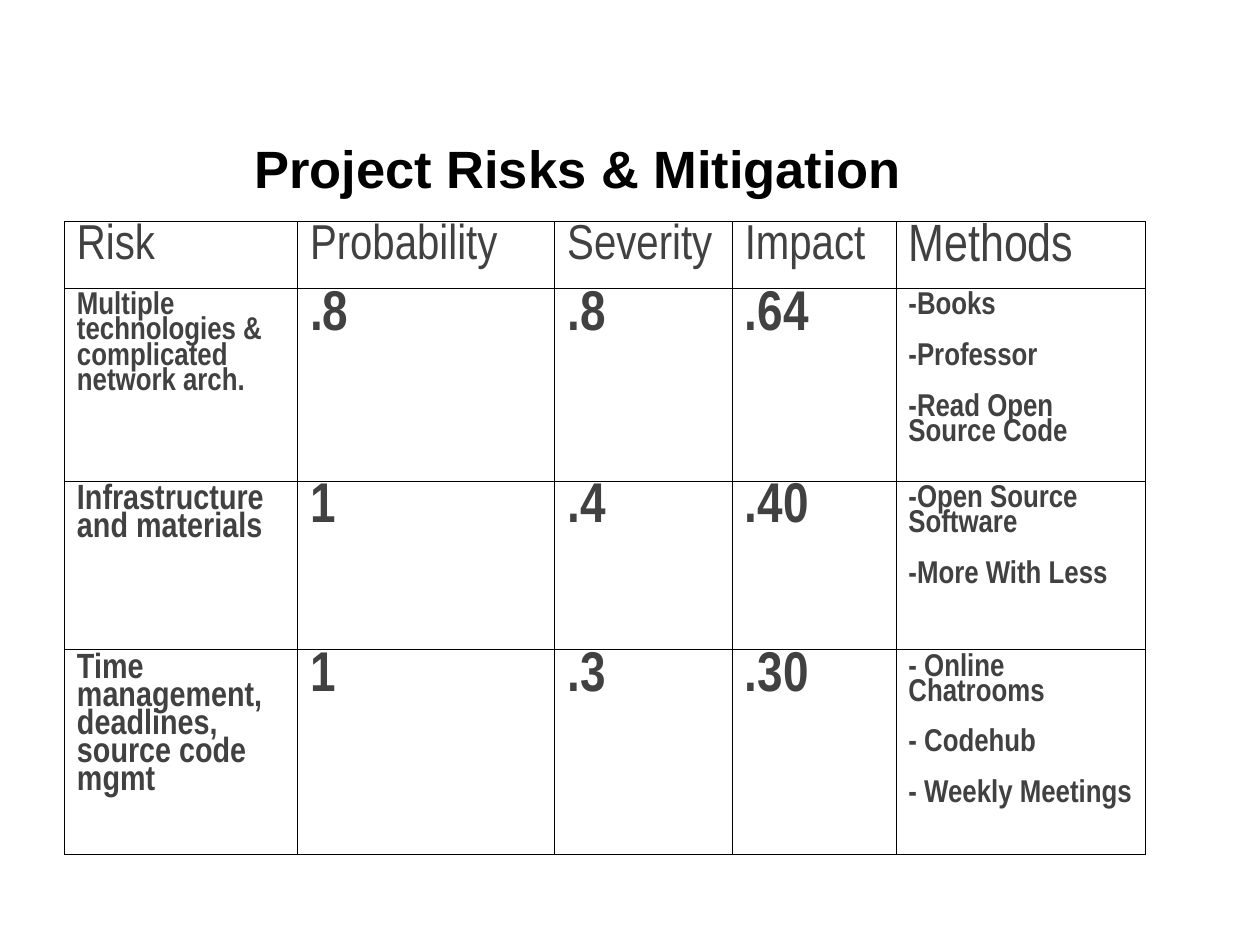
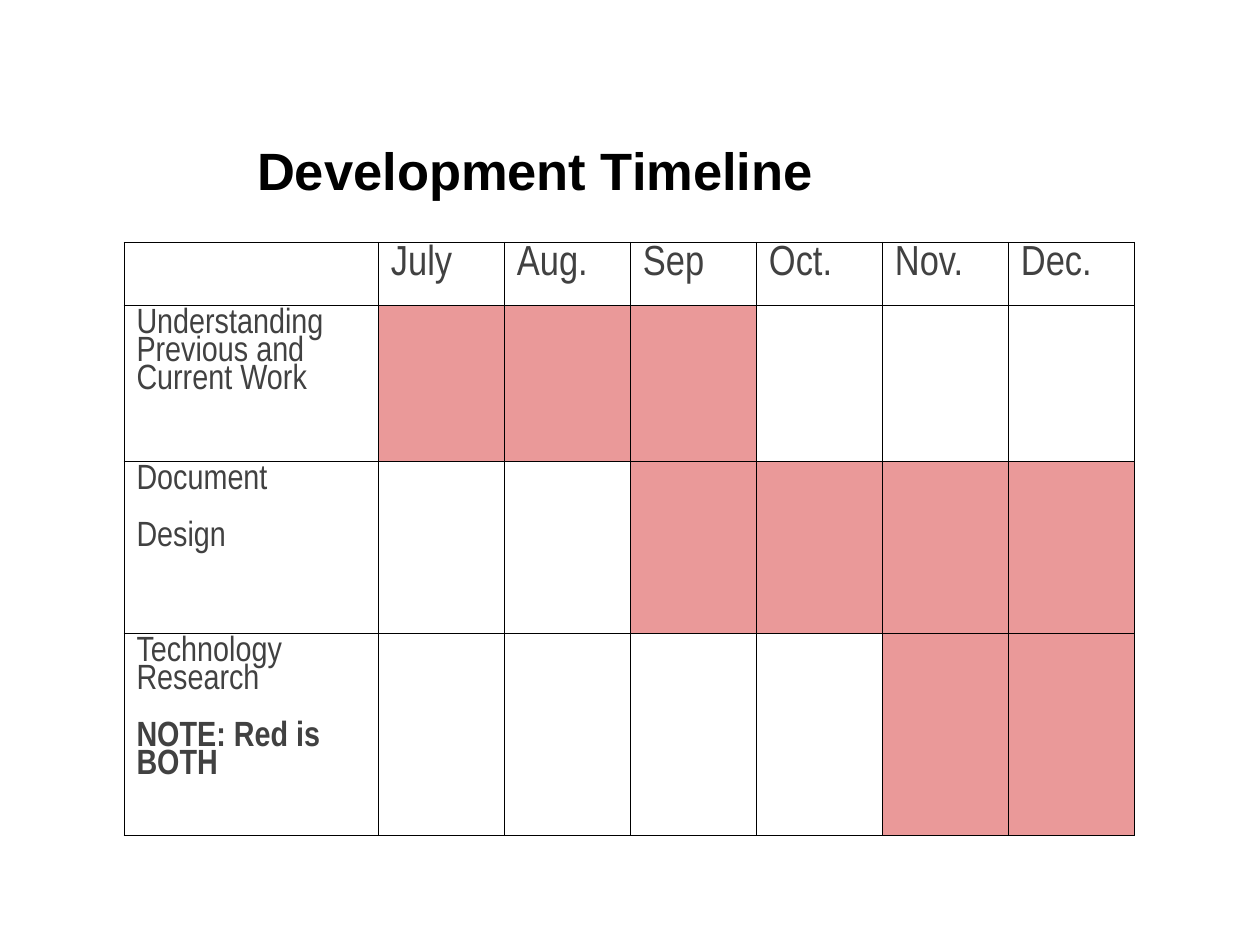
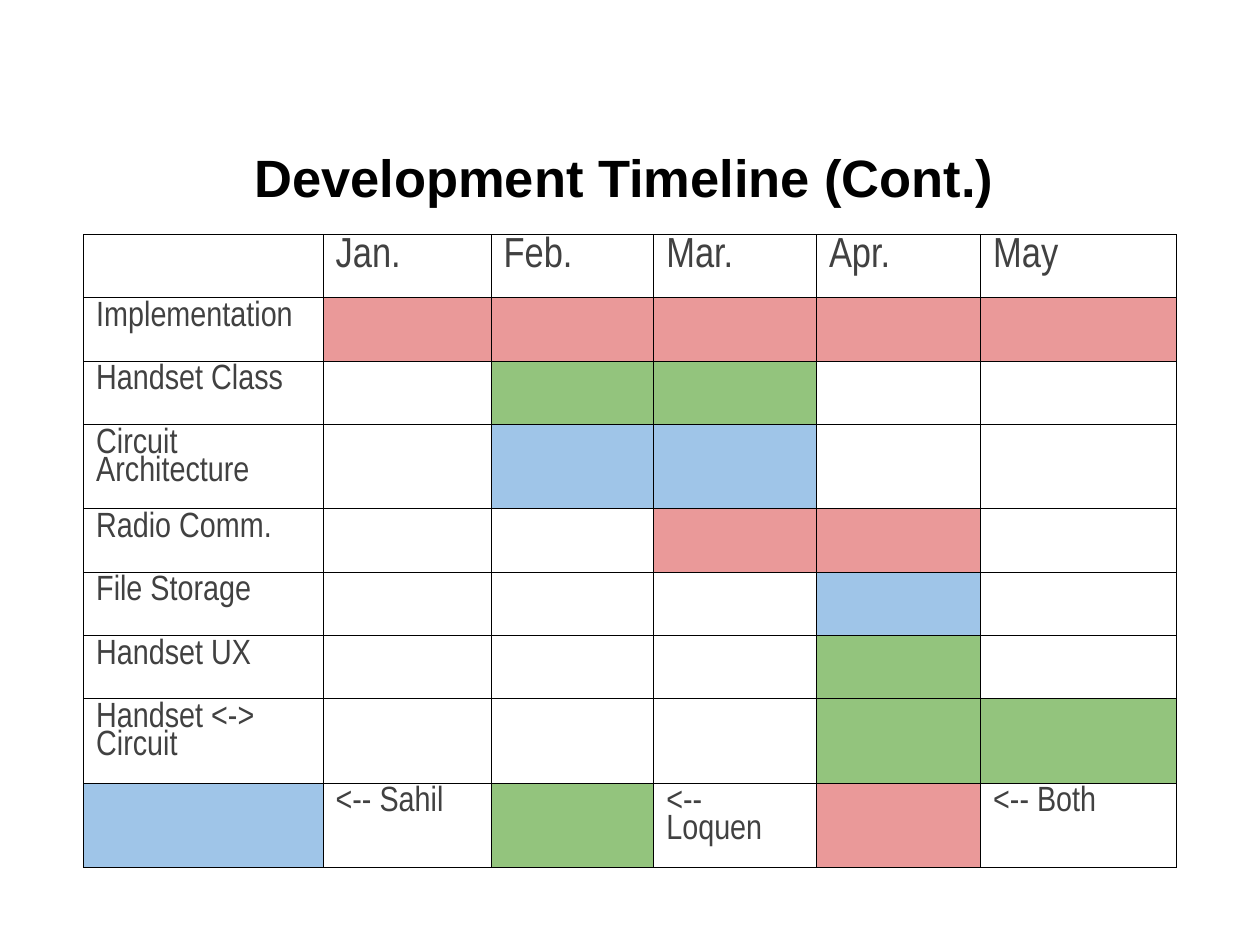
from lxml import etree
from pptx import Presentation
from pptx.dml.color import RGBColor
from pptx.enum import text as t
from pptx.oxml import ns
from pptx.util import Pt

COLORS = {
    "title": "000000",
    "body": "414141",
    "border": "000000",
    "red": "EA9999",
    "green": "93C47D",
    "blue": "9FC5E8",
}
LINE_SPACING = 0.85
GAP_RATIO = 0.81


def write(tf, text, size=20, font="Arial Narrow", color="body", bold_from=None):
    for i, line in enumerate(text.split("\n")):
        p = tf.add_paragraph() if i else tf.paragraphs[0]
        p.line_spacing = LINE_SPACING
        if i:
            p.space_before = Pt(round(GAP_RATIO * size, 1))
        r = p.add_run()
        r.text = line
        r.font.size = Pt(size)
        r.font.name = font
        r.font.bold = bold_from is not None and i >= bold_from
        r.font.color.rgb = RGBColor.from_string(COLORS[color])


def label(text, size=20, bold_from=None):
    return dict(text=text, size=size, bold_from=bold_from)


def strong(text, size):
    return label(text, size, bold_from=0)


def header(*names):
    return [None] + [label(name, 24) for name in names]


class Deck:
    def __init__(self):
        self.prs = Presentation()
        self.prs.slide_width, self.prs.slide_height = Pt(720), Pt(540)
        self.s = None

    def slide(self, title, left, top):
        self.s = self.prs.slides.add_slide(self.prs.slide_layouts[6])
        sp = self.s.shapes.add_textbox(Pt(left), Pt(top), Pt(530), Pt(55.4))
        tf = sp.text_frame
        tf.word_wrap = True
        tf.vertical_anchor = t.MSO_ANCHOR.BOTTOM
        write(tf, title, size=30, font="Arial", color="title", bold_from=0)

    def borders(self, cell):
        tc_pr = cell._tc.get_or_add_tcPr()
        for side in "LRTB":
            ln = etree.SubElement(tc_pr, ns.qn(f"a:ln{side}"), w=str(Pt(0.34)))
            fill = etree.SubElement(ln, ns.qn("a:solidFill"))
            etree.SubElement(fill, ns.qn("a:srgbClr"), val=COLORS["border"])

    def cell(self, cell, content):
        self.borders(cell)
        if isinstance(content, str):
            cell.fill.solid()
            cell.fill.fore_color.rgb = RGBColor.from_string(COLORS[content])
            return
        cell.fill.background()
        if content:
            write(cell.text_frame, **content)

    def table(self, left, top, widths, heights, rows):
        frame = self.s.shapes.add_table(
            len(rows), len(widths), Pt(left), Pt(top), Pt(sum(widths)), Pt(sum(heights)))
        table = frame.table
        table.first_row = table.horz_banding = False
        for column, width in zip(table.columns, widths):
            column.width = Pt(width)
        for row, height, contents in zip(table.rows, heights, rows):
            row.height = Pt(height)
            for cell, content in zip(row.cells, contents):
                self.cell(cell, content)


def risk(name, name_size, scores, methods):
    return [strong(name, name_size), *(strong(score, 32) for score in scores),
            strong(methods, 18)]


def task(name, months, start, end, color, bold_from=None):
    bars = [color if start <= month <= end else None for month in range(1, months + 1)]
    return [label(name, bold_from=bold_from)] + bars


def risks(deck):
    deck.slide("Project Risks & Mitigation", 138.2, 62)
    names = ["Risk", "Probability", "Severity", "Impact"]
    deck.table(36.8, 126.6, [133.2, 147, 101.5, 93.5, 142.5], [38.2, 110, 96.5, 117], [
        [label(name, 28) for name in names] + [label("Methods", 30)],
        risk("Multiple technologies & complicated network arch.", 18, [".8", ".8", ".64"],
             "-Books\n-Professor\n-Read Open Source Code"),
        risk("Infrastructure and materials", 20, ["1", ".4", ".40"],
             "-Open Source Software\n-More With Less"),
        risk("Time management, deadlines, source code mgmt", 20, ["1", ".3", ".30"],
             "- Online Chatrooms\n- Codehub\n- Weekly Meetings"),
    ])


def first_timeline(deck):
    deck.slide("Development Timeline", 139.8, 63.2)
    months = ["July", "Aug.", "Sep", "Oct.", "Nov.", "Dec."]
    n = len(months)
    deck.table(70.8, 138.4, [145.4] + [72] * n, [36, 89, 98.5, 115.2], [
        header(*months),
        task("Understanding Previous and Current Work", n, 1, 3, "red"),
        task("Document\nDesign", n, 3, 6, "red"),
        task("Technology Research\nNOTE: Red is BOTH", n, 5, 6, "red", bold_from=1),
    ])


def second_timeline(deck):
    deck.slide("Development Timeline (Cont.)", 138.2, 67)
    months = ["Jan.", "Feb.", "Mar.", "Apr.", "May"]
    n = len(months)
    single, double = 36.2, 48.2
    heights = [single] * 3 + [double] + [single] * 3 + [double] * 2
    deck.table(47.8, 133.9, [136.8, 96, 93, 93, 93.8, 111.6], heights, [
        header(*months),
        task("Implementation", n, 1, 5, "red"),
        task("Handset Class", n, 2, 3, "green"),
        task("Circuit Architecture", n, 2, 3, "blue"),
        task("Radio Comm.", n, 3, 4, "red"),
        task("File Storage", n, 4, 4, "blue"),
        task("Handset UX", n, 4, 4, "green"),
        task("Handset <-> Circuit", n, 4, 5, "green"),
        ["blue", label("<-- Sahil"), "green", label("<-- Loquen"), "red", label("<-- Both")],
    ])


def main():
    deck = Deck()
    risks(deck)
    first_timeline(deck)
    second_timeline(deck)
    deck.prs.save("out.pptx")


if __name__ == "__main__":
    main()
